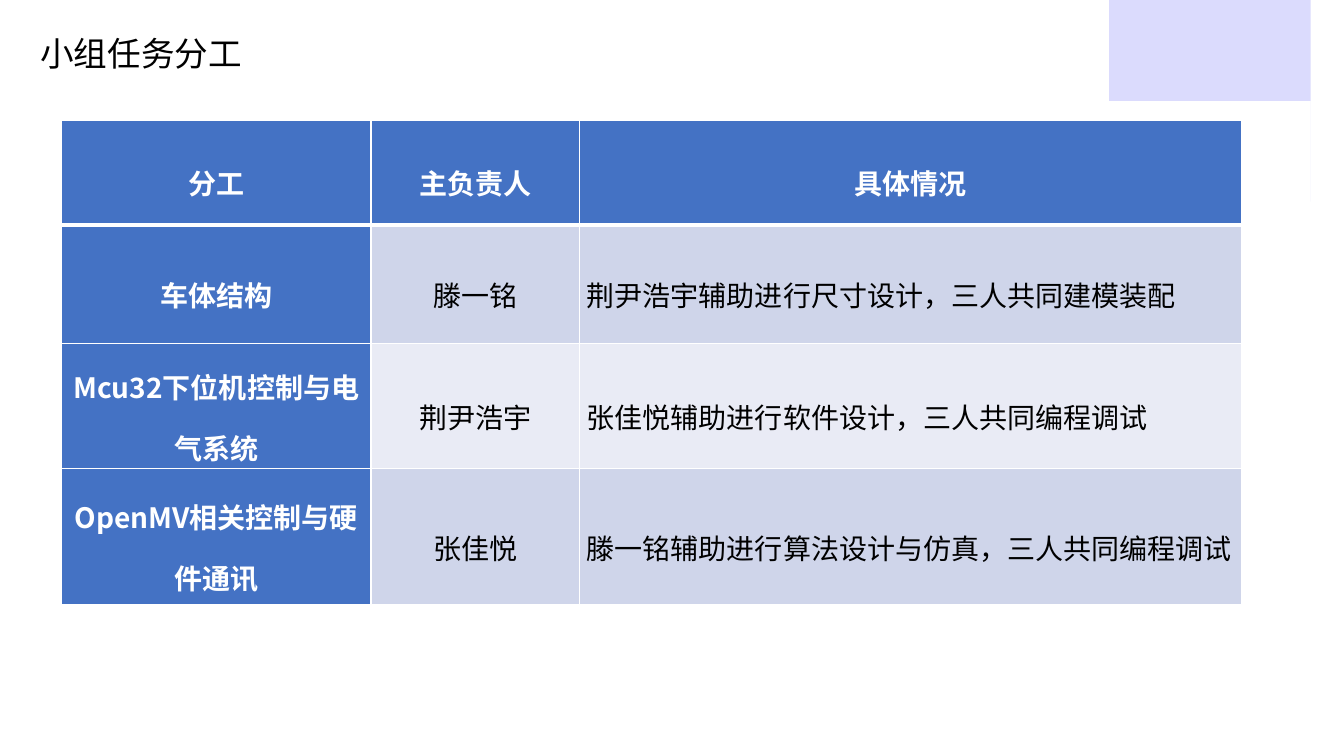
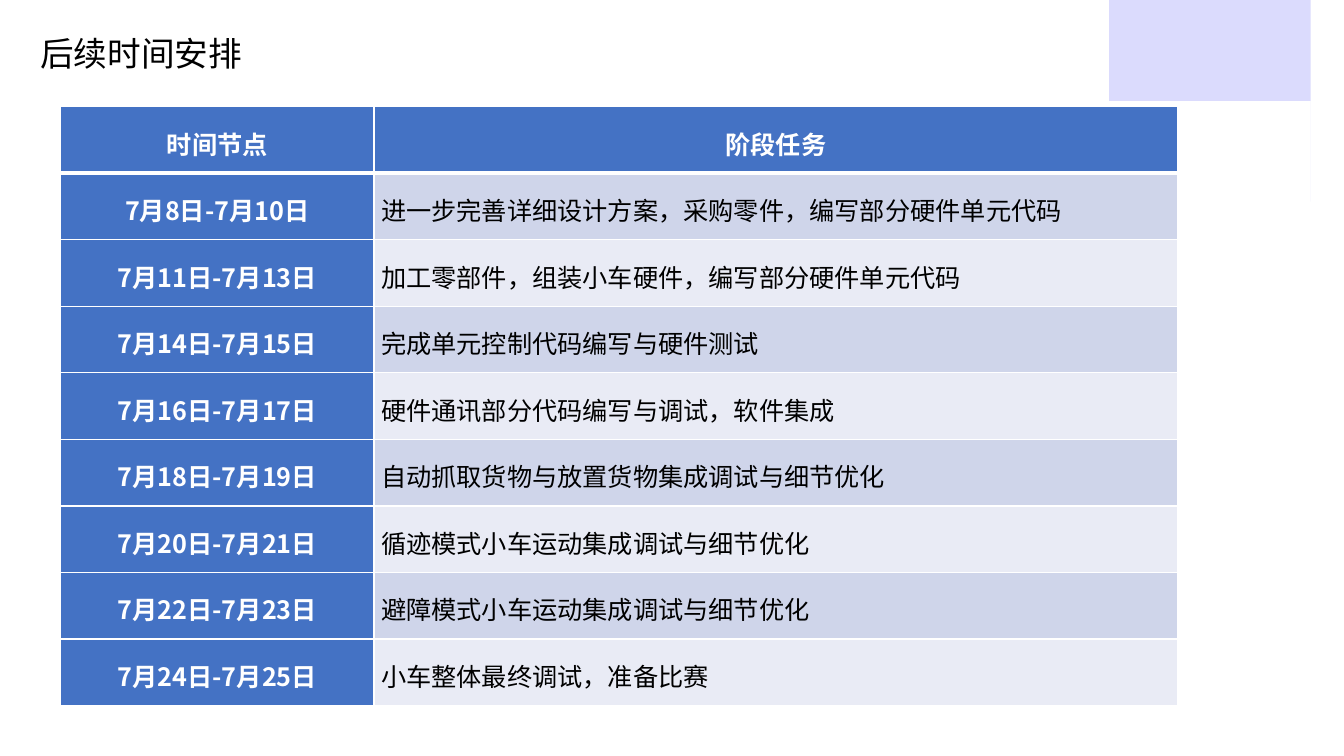
from dataclasses import dataclass

from lxml.etree import SubElement
from pptx import Presentation
from pptx.dml.color import RGBColor
from pptx.enum.text import MSO_ANCHOR as Anchor, MSO_AUTO_SIZE as AutoSize, PP_ALIGN as Align
from pptx.oxml.ns import qn
from pptx.util import Inches, Pt


@dataclass(frozen=True)
class Theme:
    font: str = "Noto Sans CJK SC"
    title_size: int = 24
    text: str = "000000"
    inverse: str = "FFFFFF"
    accent: str = "4472C4"
    bands: tuple[str, str] = ("CFD5EA", "E9EBF5")
    corner: str = "DBDBFD"
    rule: float = 1
    header_rule: float = 3


@dataclass(frozen=True)
class TableSlide:
    title: str
    left: float
    top: float
    cols: tuple[float, ...]
    heights: tuple[float, ...]
    size: int
    anchor: Anchor
    aligns: tuple[Align, ...]
    rows: tuple[tuple[str, ...], ...]


THEME = Theme()
SLIDE_W, SLIDE_H = 13.33, 7.5
TITLE_BOX = dict(left=0.3, top=0.28, width=3.07, height=0.5)
CELL_MARGINS = dict(margin_left=0.07, margin_right=0.07, margin_top=0, margin_bottom=0)
CORNER_START = (10.6, 0.15)
CORNER_CURVES = (
    ((10.74, 0.45), (11.03, 0.68), (11.36, 0.78)),
    ((12.01, 0.99), (12.43, 0.57), (12.74, 0.78)),
    ((13.23, 1.1), (13.08, 1.55), (13.32, 1.89)),
)
CURVE_STEPS = 24

SLIDES = (
    TableSlide(
        "小组任务分工", 0.61, 1.19, (3.07, 2.07, 6.57), (1.04, 1.18, 1.24, 1.35),
        20, Anchor.MIDDLE, (Align.CENTER, Align.CENTER, Align.LEFT),
        (
            ("分工", "主负责人", "具体情况"),
            ("车体结构", "滕一铭", "荆尹浩宇辅助进行尺寸设计，三人共同建模装配"),
            ("Mcu32下位机控制与电气系统", "荆尹浩宇", "张佳悦辅助进行软件设计，三人共同编程调试"),
            ("OpenMV相关控制与硬件通讯", "张佳悦", "滕一铭辅助进行算法设计与仿真，三人共同编程调试"),
        ),
    ),
    TableSlide(
        "后续时间安排", 0.6, 1.06, (3.11, 7.97), (0.66,) * 9,
        18, Anchor.TOP, (Align.CENTER, Align.JUSTIFY),
        (
            ("时间节点", "阶段任务"),
            ("7月8日-7月10日", "进一步完善详细设计方案，采购零件，编写部分硬件单元代码"),
            ("7月11日-7月13日", "加工零部件，组装小车硬件，编写部分硬件单元代码"),
            ("7月14日-7月15日", "完成单元控制代码编写与硬件测试"),
            ("7月16日-7月17日", "硬件通讯部分代码编写与调试，软件集成"),
            ("7月18日-7月19日", "自动抓取货物与放置货物集成调试与细节优化"),
            ("7月20日-7月21日", "循迹模式小车运动集成调试与细节优化"),
            ("7月22日-7月23日", "避障模式小车运动集成调试与细节优化"),
            ("7月24日-7月25日", "小车整体最终调试，准备比赛"),
        ),
    ),
)


def set_attrs(target, values: dict) -> None:
    for name, value in values.items():
        setattr(target, name, value)


def set_lengths(target, inches: dict[str, float]) -> None:
    set_attrs(target, {name: Inches(value) for name, value in inches.items()})


def paint(target, color: str) -> None:
    target.fill.solid()
    target.fill.fore_color.rgb = RGBColor.from_string(color)


def write(p, text: str, size: int, color: str, bold: bool = False) -> None:
    r = p.add_run()
    r.text = text
    set_attrs(r.font, dict(size=Pt(size), bold=bold, name=THEME.font))
    r.font.color.rgb = RGBColor.from_string(color)
    SubElement(r.font._element, qn("a:ea"), typeface=THEME.font)


def add_title(slide, text: str) -> None:
    tf = slide.shapes.title.text_frame
    set_attrs(tf, dict(word_wrap=True, auto_size=AutoSize.NONE, vertical_anchor=Anchor.TOP))
    p = tf.paragraphs[0]
    p.alignment = Align.LEFT
    write(p, text, THEME.title_size, THEME.text)


def curve_points(start: tuple, curve: tuple) -> list[tuple[float, float]]:
    """Sample a cubic Bezier curve, leaving out its start point."""
    points = []
    for step in range(1, CURVE_STEPS + 1):
        t = step / CURVE_STEPS
        weights = ((1 - t) ** 3, 3 * t * (1 - t) ** 2, 3 * t * t * (1 - t), t ** 3)
        points.append(tuple(
            sum(w * v for w, v in zip(weights, axis)) for axis in zip(start, *curve)
        ))
    return points


def add_corner(slide) -> None:
    points = [(10.55, 0), CORNER_START]
    for curve in CORNER_CURVES:
        points += curve_points(points[-1], curve)
    points.append((SLIDE_W, 1.91))
    builder = slide.shapes.build_freeform(SLIDE_W, 0, scale=Inches(1))
    builder.add_line_segments(points, close=True)
    sp = builder.convert_to_shape()
    sp.shadow.inherit = False
    paint(sp, THEME.corner)
    sp.line.fill.background()


def add_borders(cell, top: float, bottom: float) -> None:
    tc_pr = cell._tc.get_or_add_tcPr()
    for side, width in dict(L=THEME.rule, R=THEME.rule, T=top, B=bottom).items():
        line = SubElement(tc_pr, qn(f"a:ln{side}"), w=str(Pt(width)))
        SubElement(SubElement(line, qn("a:solidFill")), qn("a:srgbClr"), val=THEME.inverse)


def add_cell(cell, text: str, row: int, col: int, spec_: TableSlide) -> None:
    is_header = row == 0
    is_label = is_header or col == 0
    set_lengths(cell, CELL_MARGINS)
    cell.vertical_anchor = spec_.anchor
    add_borders(
        cell,
        top=THEME.header_rule if row == 1 else THEME.rule,
        bottom=THEME.header_rule if is_header else THEME.rule,
    )
    paint(cell, THEME.accent if is_label else THEME.bands[(row - 1) % 2])
    p = cell.text_frame.paragraphs[0]
    set_attrs(p, dict(
        alignment=Align.CENTER if is_header else spec_.aligns[col], line_spacing=1.5,
    ))
    write(p, text, spec_.size, THEME.inverse if is_label else THEME.text, is_label)


def add_grid(slide, content: TableSlide) -> None:
    box = (content.left, content.top, sum(content.cols), sum(content.heights))
    table = slide.shapes.add_table(
        len(content.rows), len(content.cols), *map(Inches, box)
    ).table
    for column, width in zip(table.columns, content.cols):
        column.width = Inches(width)
    for row, height in zip(table.rows, content.heights):
        row.height = Inches(height)
    for i, texts in enumerate(content.rows):
        for j, text in enumerate(texts):
            add_cell(table.cell(i, j), text, i, j, content)


def main() -> None:
    prs = Presentation()
    set_lengths(prs, dict(slide_width=SLIDE_W, slide_height=SLIDE_H))
    layout = prs.slide_layouts.get_by_name("Title Only")
    set_lengths(layout.placeholders[0], TITLE_BOX)
    for content in SLIDES:
        slide = prs.slides.add_slide(layout)
        add_title(slide, content.title)
        add_corner(slide)
        add_grid(slide, content)
    prs.save("out.pptx")


if __name__ == "__main__":
    main()
